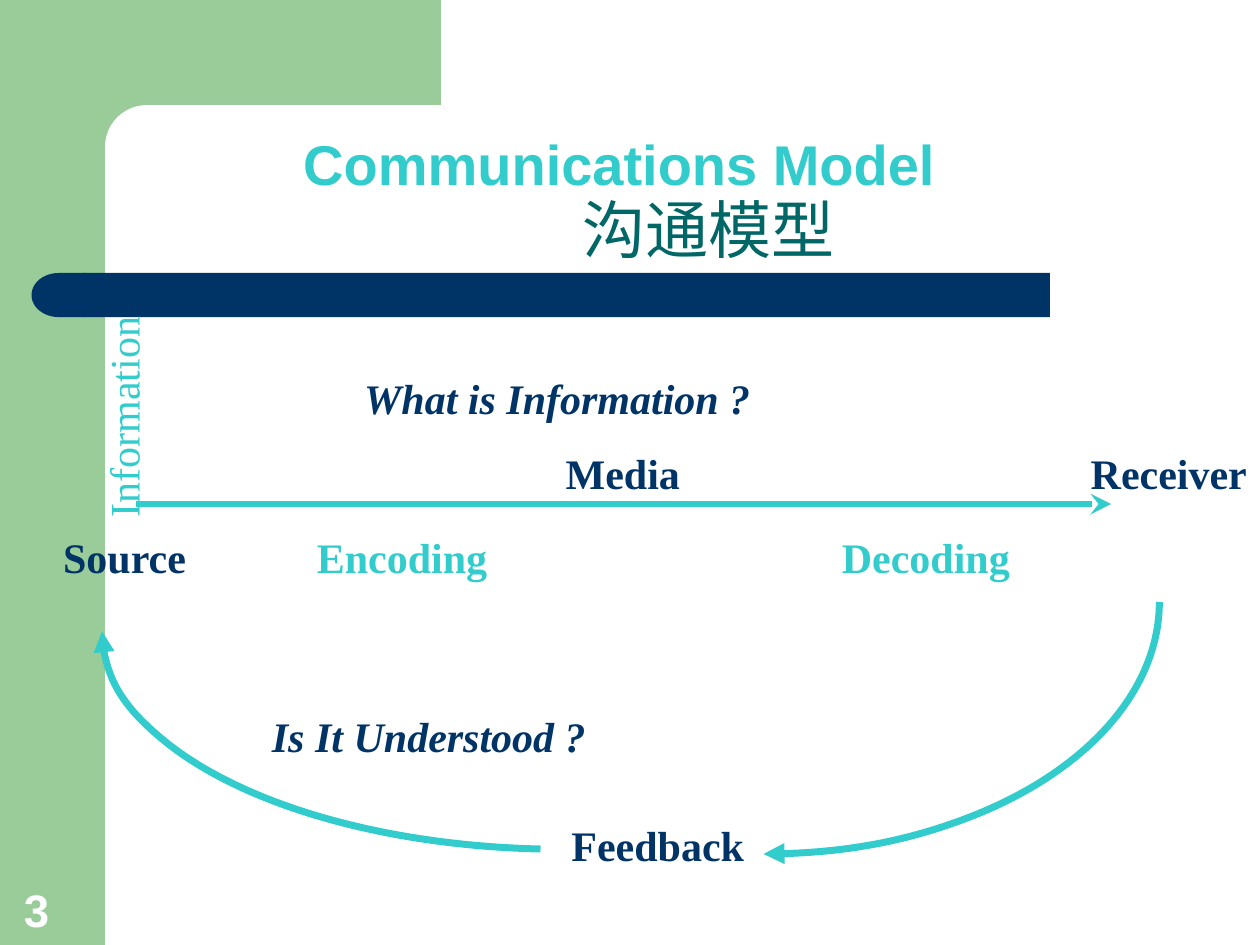
from pptx import Presentation
from pptx.dml.color import RGBColor
from pptx.enum.shapes import MSO_CONNECTOR, MSO_SHAPE
from pptx.enum.text import MSO_ANCHOR, PP_ALIGN
from pptx.oxml.ns import qn
from pptx.util import Pt
from lxml import etree

RECTANGLE = MSO_SHAPE.RECTANGLE
ROUNDED = MSO_SHAPE.ROUNDED_RECTANGLE
DELAY = MSO_SHAPE.FLOWCHART_DELAY
ARC = MSO_SHAPE.ARC
STRAIGHT = MSO_CONNECTOR.STRAIGHT
LEFT, CENTER = PP_ALIGN.LEFT, PP_ALIGN.CENTER
TOP, MIDDLE, BOTTOM = MSO_ANCHOR.TOP, MSO_ANCHOR.MIDDLE, MSO_ANCHOR.BOTTOM

COLORS = {
    "green": "99CC99",
    "navy": "003366",
    "turquoise": "33CCCC",
    "teal": "006666",
    "white": "FFFFFF",
}
SERIF, SANS = "Times New Roman", "Arial"
LABEL_HEIGHT = 36
LINE_WIDTH = 4


def color(name):
    return RGBColor.from_string(COLORS[name])


def add_block(slide, kind, box, fill):
    shape = slide.shapes.add_shape(kind, *map(Pt, box))
    shape.shadow.inherit = False
    shape.fill.solid()
    shape.fill.fore_color.rgb = color(fill)
    shape.line.fill.background()
    return shape


def add_text(slide, text, box, *, size=24, font=SERIF, fill="navy", bold=True,
             italic=False, align=LEFT, anchor=TOP, wrap=False, spacing=None,
             rotation=0):
    shape = slide.shapes.add_textbox(*map(Pt, box))
    shape.rotation = rotation
    frame = shape.text_frame
    frame.word_wrap = wrap
    frame.vertical_anchor = anchor
    paragraph = frame.paragraphs[0]
    paragraph.alignment = align
    paragraph.line_spacing = spacing
    run = paragraph.add_run()
    run.text = text
    run.font.size = Pt(size)
    run.font.name = font
    run.font.bold = bold
    run.font.italic = italic
    run.font.color.rgb = color(fill)


def style_arrow(shape, head):
    """Give a line its colour, width and an arrowhead at its end."""
    shape.line.color.rgb = color("turquoise")
    shape.line.width = Pt(LINE_WIDTH)
    outline = shape.line._get_or_add_ln()
    etree.SubElement(outline, qn("a:tailEnd"), type=head)


def add_arrow(slide, start, end):
    connector = slide.shapes.add_connector(STRAIGHT, *map(Pt, start + end))
    style_arrow(connector, "stealth")
    etree.SubElement(connector._element.spPr, qn("a:effectLst"))


def add_arc_arrow(slide, center, radii, start, end):
    """Draw part of an ellipse clockwise, with angles in degrees."""
    (x, y), (rx, ry) = center, radii
    box = (x - rx, y - ry, 2 * rx, 2 * ry)
    shape = slide.shapes.add_shape(ARC, *map(Pt, box))
    shape.shadow.inherit = False
    shape.fill.background()
    # An adjustment of 1 stands for 100000 units of 1/60000 degree.
    shape.adjustments[0] = start * 0.6
    shape.adjustments[1] = end * 0.6
    style_arrow(shape, "triangle")


def add_background(slide):
    add_block(slide, RECTANGLE, (0, 0, 60, 540), "green")
    add_block(slide, RECTANGLE, (54, 0, 198, 84), "green")
    corner = add_block(slide, ROUNDED, (60, 60, 402, 48), "white")
    corner.adjustments[0] = 0.5
    add_block(slide, RECTANGLE, (48, 156, 552, 25.2), "navy")
    bar_end = add_block(slide, DELAY, (18, 156, 31, 25.2), "navy")
    bar_end.rotation = 180


def add_titles(slide):
    add_text(slide, "Communications Model", (48, 48, 612, 90), size=32,
             font=SANS, fill="turquoise", align=CENTER, anchor=MIDDLE, wrap=True)
    add_text(slide, "沟通模型", (90, 66, 630, 90), size=36, font=SANS,
             fill="teal", bold=False, align=CENTER, anchor=BOTTOM, wrap=True,
             spacing=0.9)
    add_text(slide, "3", (6.5, 500, 46, 39), size=26, font=SANS,
             fill="white", anchor=BOTTOM, wrap=True)


def add_model(slide):
    labels = [
        ("Media", 316.2, 252, 80, {}),
        ("Receiver", 616.2, 252, 104, {}),
        ("Source", 29, 300, 85, {}),
        ("Encoding", 174, 300, 112, {"fill": "turquoise"}),
        ("Decoding", 474, 300, 111, {"fill": "turquoise"}),
        ("Feedback", 319.5, 465, 113, {}),
        ("What is Information ?", 201, 209.5, 235, {"italic": True}),
        ("Is It Understood ?", 148.3, 402.5, 194, {"italic": True}),
        ("Information", 5.8, 220.3, 129,
         {"fill": "turquoise", "bold": False, "rotation": 270}),
    ]
    for text, left, top, width, style in labels:
        add_text(slide, text, (left, top, width, LABEL_HEIGHT), **style)
    add_arrow(slide, (78, 288), (635, 288))
    add_arc_arrow(slide, (436.3, 344), (226.2, 144), 0, 90)
    add_arc_arrow(slide, (321.1, 360.7), (262.8, 124.6), 95.6, 180)


def main():
    presentation = Presentation()
    presentation.slide_width = Pt(720)
    presentation.slide_height = Pt(540)
    slide = presentation.slides.add_slide(presentation.slide_layouts[6])
    add_background(slide)
    add_titles(slide)
    add_model(slide)
    presentation.save("out.pptx")


if __name__ == "__main__":
    main()
